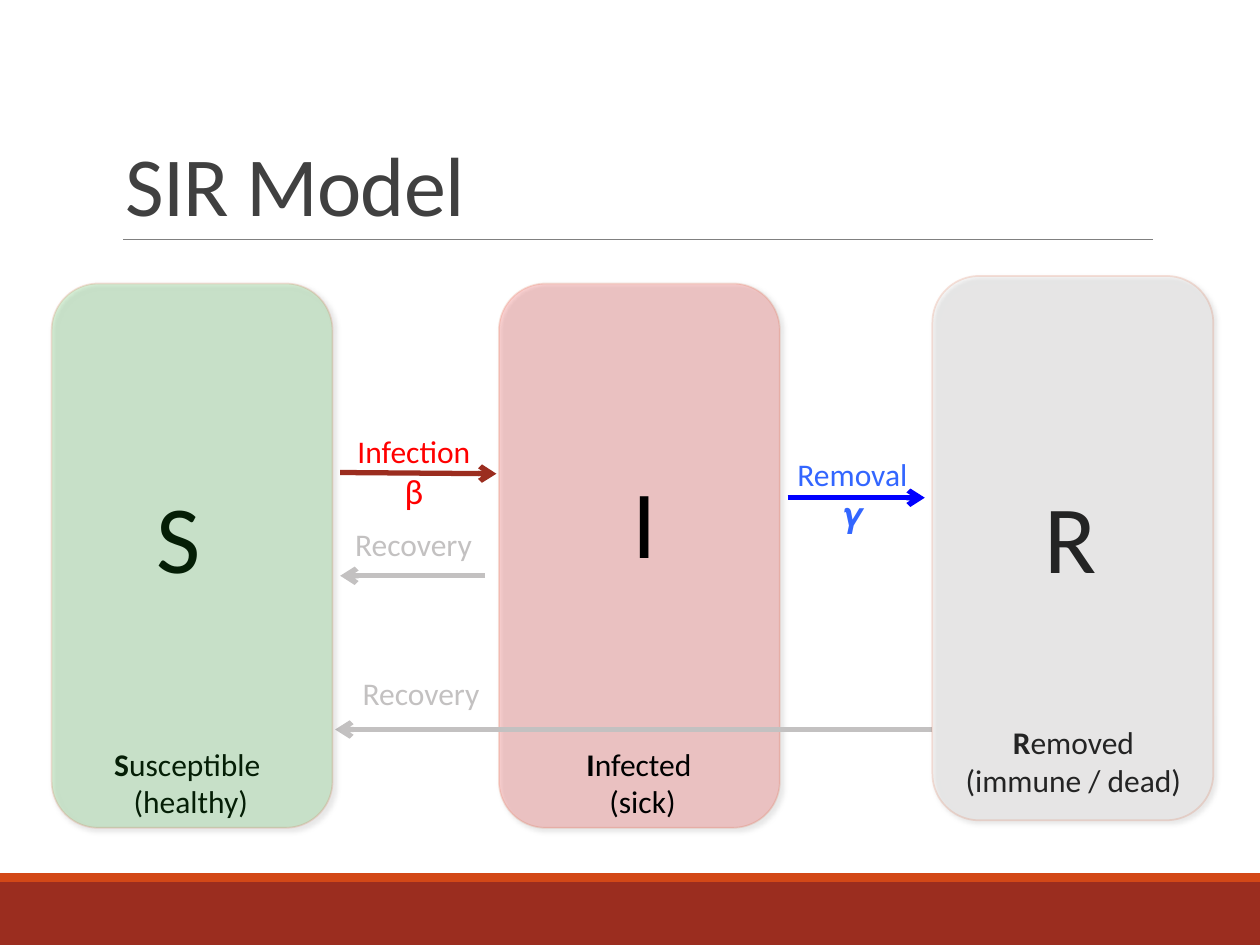
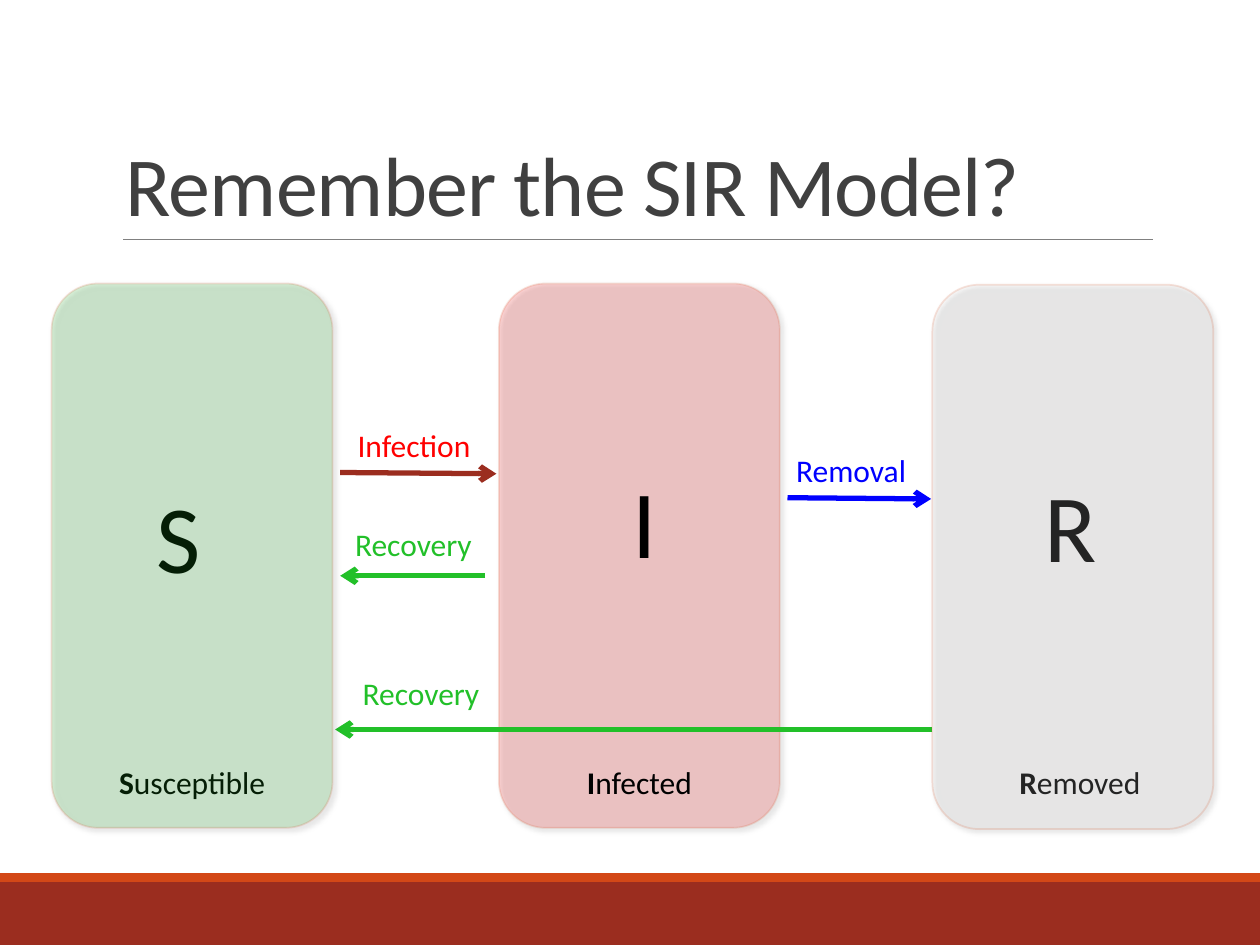
from dataclasses import dataclass
from typing import NamedTuple

from lxml.etree import SubElement
from pptx import Presentation
from pptx.dml.color import RGBColor
from pptx.enum.shapes import MSO_CONNECTOR, MSO_SHAPE
from pptx.enum.text import MSO_ANCHOR, MSO_AUTO_SIZE, PP_ALIGN
from pptx.oxml.ns import qn
from pptx.util import Inches, Pt

# The slide is a grid of 100 columns by 75 rows of square cells.
COLUMNS, ROWS = 100, 75
CELL = Inches(0.1)

FONT = "Calibri"
BLACK = RGBColor(0x00, 0x00, 0x00)
TITLE_GREY = RGBColor(0x40, 0x40, 0x40)
RULE_GREY = RGBColor(0x80, 0x80, 0x80)
BRICK = RGBColor(0x9B, 0x2D, 0x1F)
ORANGE = RGBColor(0xD3, 0x48, 0x17)
BORDER = RGBColor(0xD3, 0x44, 0x12)
RED = RGBColor(0xFF, 0x00, 0x00)
GREEN = RGBColor(0x22, 0xC0, 0x29)
BLUE = RGBColor(0x00, 0x00, 0xFF)
SKY = RGBColor(0x33, 0x66, 0xFF)
PALE = RGBColor(0xE1, 0xE0, 0xE0)
FADED = RGBColor(0xC3, 0xC1, 0xC1)


class Area(NamedTuple):
    col: float
    row: float
    cols: float
    rows: float


class Arrow(NamedTuple):
    start: tuple[float, float]
    end: tuple[float, float]
    color: RGBColor


class Label(NamedTuple):
    text: str
    area: Area
    color: RGBColor = BLACK
    symbol_size: float | None = None


@dataclass
class SirSlide:
    title: str
    removed_row: float
    removed_letter_row: float
    removal_end: tuple[float, float]
    recovery_color: RGBColor
    captions: list[Label]
    flow_labels: list[Label]


COMPARTMENT_COLS, COMPARTMENT_ROWS = 22.3, 43.2
S_COL, I_COL, R_COL = 4.1, 39.6, 74
BOX_ROW = 22.5
UPPER_RECOVERY = (27.2, 41.2)
LOWER_RECOVERY = (27.8, 53)

SLIDES = [
    SirSlide(
        "SIR Model", 21.9, 37.4, (73.4, 39.5), FADED,
        [Label("Susceptible \n(healthy)", Area(7.6, 58.6, 15.1, 7.1)),
         Label("Infected \n(sick)", Area(45.5, 58.6, 11, 7.1)),
         Label("Removed\n(immune / dead)", Area(75, 56.9, 20.4, 7.1))],
        [Label("Infection\nβ", Area(27.3, 33.8, 11.1, 10.4), RED, 20),
         Label("Recovery", Area(*UPPER_RECOVERY, 11.5, 4), FADED),
         Label("Recovery", Area(*LOWER_RECOVERY, 11.5, 4), FADED),
         Label("Removal\n𝜸", Area(62.2, 35.6, 10.9, 7.4), SKY, 20)],
    ),
    SirSlide(
        "Remember the SIR Model?", 22.6, 36.5, (73.9, 39.6), GREEN,
        [Label("Susceptible ", Area(8.4, 60.1, 13.7, 4)),
         Label("Infected", Area(45.5, 60.1, 10.5, 4)),
         Label("Removed", Area(79.8, 60.1, 11.8, 4))],
        [Label("Infection", Area(27.4, 33.3, 11.6, 4), RED),
         Label("Recovery", Area(*UPPER_RECOVERY, 12.7, 4), GREEN),
         Label("Recovery", Area(*LOWER_RECOVERY, 12.7, 4), GREEN),
         Label("Removal", Area(62.2, 35.3, 10.9, 4), BLUE)],
    ),
]


def cells(*counts: float) -> list[int]:
    return [round(n * CELL) for n in counts]


def add_text(slide, text: str, area: Area, *, size: float = 18,
             color: RGBColor = BLACK, align=None, bold_initial: bool = False,
             symbol_size: float | None = None, wrap: bool = False,
             anchor=MSO_ANCHOR.TOP, line_spacing: float | None = None,
             tracking: int | None = None) -> None:
    """Write one paragraph per line; symbol_size applies after the first line."""
    tf = slide.shapes.add_textbox(*cells(*area)).text_frame
    tf.word_wrap = wrap
    tf.auto_size = MSO_AUTO_SIZE.NONE if wrap else MSO_AUTO_SIZE.SHAPE_TO_FIT_TEXT
    tf.vertical_anchor = anchor
    for i, line in enumerate(text.split("\n")):
        p = tf.paragraphs[0] if i == 0 else tf.add_paragraph()
        p.alignment = align
        p.line_spacing = line_spacing
        split = bold_initial and i == 0
        for j, part in enumerate([line[0], line[1:]] if split else [line]):
            r = p.add_run()
            r.text = part
            r.font.name = FONT
            r.font.size = Pt(symbol_size if symbol_size and i else size)
            r.font.bold = split and j == 0
            r.font.color.rgb = color
            if tracking is not None:
                r.font._element.set("spc", str(tracking))


def set_opacity(fill_parent, percent: int) -> None:
    color = fill_parent.find(qn("a:solidFill"))[0]
    SubElement(color, qn("a:alpha"), val=str(percent * 1000))


def add_line(slide, start: tuple[float, float], end: tuple[float, float],
             color: RGBColor, width: float, arrow: bool = False) -> None:
    line = slide.shapes.add_connector(MSO_CONNECTOR.STRAIGHT, *cells(*start, *end))
    line.line.color.rgb = color
    line.line.width = Pt(width)
    if arrow:
        SubElement(line.line._get_or_add_ln(), qn("a:tailEnd"), type="arrow")
    SubElement(line._element.spPr, qn("a:effectLst"))


def add_band(slide, row: float, rows: float, color: RGBColor) -> None:
    sp = slide.shapes.add_shape(MSO_SHAPE.RECTANGLE, *cells(0, row, COLUMNS, rows))
    sp.shadow.inherit = False
    sp.fill.solid()
    sp.fill.fore_color.rgb = color
    sp.line.fill.background()


def add_compartment(slide, col: float, row: float, color: RGBColor) -> None:
    """Draw a see-through rounded box with a soft shadow."""
    sp = slide.shapes.add_shape(
        MSO_SHAPE.ROUNDED_RECTANGLE,
        *cells(col, row, COMPARTMENT_COLS, COMPARTMENT_ROWS))
    sp.fill.solid()
    sp.fill.fore_color.rgb = color
    sp.line.color.rgb = BORDER
    sp.line.width = Pt(1)
    sp.shadow.inherit = False
    sp_pr = sp._element.spPr
    set_opacity(sp_pr, 16)
    set_opacity(sp_pr.find(qn("a:ln")), 15)
    shadow = SubElement(sp_pr.find(qn("a:effectLst")), qn("a:outerShdw"),
                        blurRad=str(Pt(3)), dist=str(Pt(2)), dir=str(45 * 60000),
                        algn="tl", rotWithShape="0")
    shade = SubElement(shadow, qn("a:srgbClr"), val=str(BLACK))
    SubElement(shade, qn("a:alpha"), val="60000")


def add_frame(slide, title: str) -> None:
    """Draw the bands, the title and its rule."""
    add_band(slide, 70, 5, BRICK)
    add_band(slide, 69.3, 0.7, ORANGE)
    add_line(slide, (9.8, 19), (91.5, 19), RULE_GREY, 0.5)
    add_text(slide, title, Area(9, 3.1, 82.5, 15.9), size=48, color=TITLE_GREY,
             wrap=True, anchor=MSO_ANCHOR.BOTTOM, line_spacing=0.85, tracking=-50)


def draw_slide(prs, sir: SirSlide) -> None:
    slide = prs.slides.add_slide(prs.slide_layouts[6])
    add_frame(slide, sir.title)
    add_compartment(slide, I_COL, BOX_ROW, RED)
    for caption in sir.captions:
        add_text(slide, caption.text, caption.area, align=PP_ALIGN.CENTER,
                 bold_initial=True)

    letters = [Label("S", Area(11.4, 37.4, 7.2, 10.3)),
               Label("I", Area(49.2, 36.2, 4.2, 10.3)),
               Label("R", Area(81.9, sir.removed_letter_row, 7.6, 10.3))]
    for letter in letters:
        add_text(slide, letter.text, letter.area, size=55)

    arrows = [Arrow((27, 37.5), (39.4, 37.6), BRICK),
              Arrow((62.5, 39.5), sir.removal_end, BLUE),
              Arrow((38.5, 45.7), (27, 45.7), sir.recovery_color),
              Arrow((R_COL, 57.9), (26.6, 57.9), sir.recovery_color)]
    for arrow in arrows:
        add_line(slide, *arrow, width=3, arrow=True)

    add_compartment(slide, S_COL, BOX_ROW, GREEN)
    add_compartment(slide, R_COL, sir.removed_row, PALE)
    for label in sir.flow_labels:
        add_text(slide, label.text, label.area, color=label.color,
                 symbol_size=label.symbol_size,
                 align=PP_ALIGN.CENTER if label.symbol_size else None)


def main() -> None:
    prs = Presentation()
    prs.slide_width, prs.slide_height = cells(COLUMNS, ROWS)
    for sir in SLIDES:
        draw_slide(prs, sir)
    prs.save("out.pptx")


if __name__ == "__main__":
    main()
